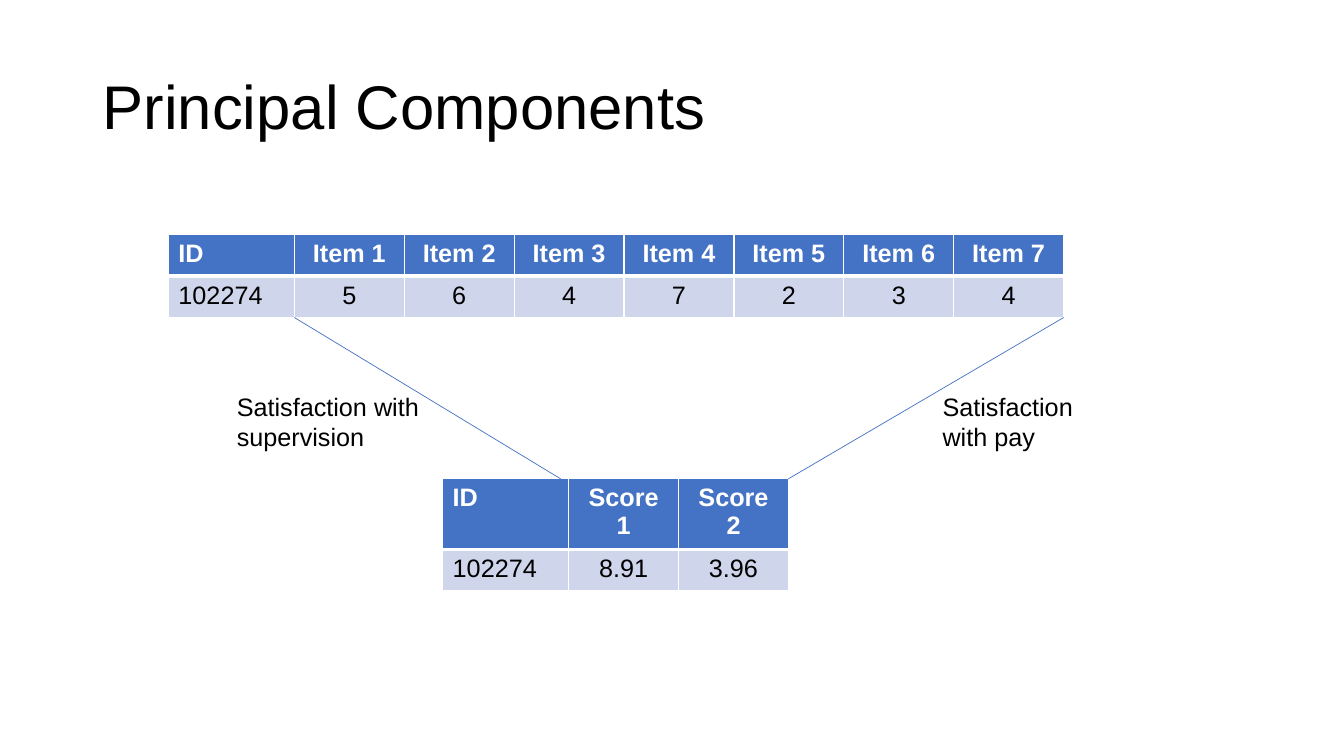
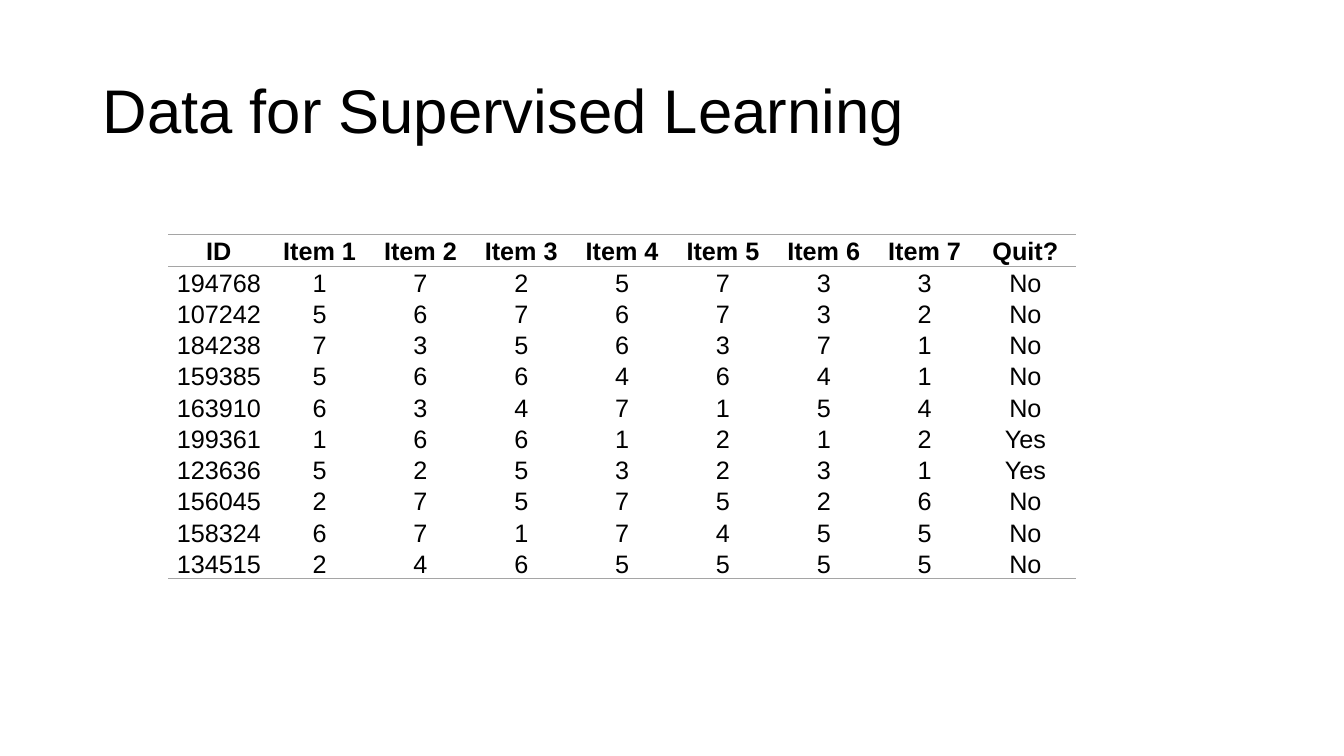
"""Build two slides on principal components and supervised learning data."""
from dataclasses import dataclass

from lxml import etree
from pptx import Presentation
from pptx import util as u
from pptx.dml.color import RGBColor
from pptx.enum import shapes, text
from pptx.oxml import ns

FONT = "Arial"
HUES = {"ink": "000000", "white": "FFFFFF", "blue": "4472C4", "pale": "CFD5EA", "gray": "A5A5A5"}
NO_STYLE = "{2D5ABB26-0587-4C30-8999-92F81FD0307C}"
ITEMS = [f"Item {n}" for n in range(1, 8)]
LEFT, TOP = 1.67, 2.33
WIDE, THIN, ROW = 1.25, 1.09, 0.41


@dataclass
class Grid:
    left: float
    top: float
    cols: list[float]
    row: float
    rows: list[list[str]]
    banded: bool

    @property
    def right(self) -> float:
        return self.left + sum(self.cols)

    @property
    def base(self) -> float:
        return self.top + self.row * len(self.rows)


@dataclass
class Label:
    words: str
    left: float
    top: float
    width: float
    height: float
    size: int = 18


@dataclass
class Line:
    start: tuple[float, float]
    end: tuple[float, float]


def color(name: str) -> RGBColor:
    return RGBColor.from_string(HUES[name])


def style(para, size: int, hue: str = "ink", bold: bool = False) -> None:
    font = para.font
    font.name, font.size, font.bold = FONT, u.Pt(size), bold
    font.color.rgb = color(hue)


def add_label(slide, label: Label):
    spots = (label.left, label.top, label.width, label.height)
    frame = slide.shapes.add_textbox(*map(u.Inches, spots)).text_frame
    frame.word_wrap = True
    frame.text = label.words
    style(frame.paragraphs[0], label.size)
    return frame


def add_title(slide, words: str, top: float) -> None:
    frame = add_label(slide, Label(words, 0.92, top, 11.5, 1.45, 44))
    frame.vertical_anchor = text.MSO_ANCHOR.MIDDLE
    frame.paragraphs[0].line_spacing = 0.9


def add_line(slide, line: Line) -> None:
    link = slide.shapes.add_connector(
        shapes.MSO_CONNECTOR.STRAIGHT, *map(u.Inches, line.start + line.end))
    link.line.color.rgb = color("blue")
    link.line.width = u.Pt(0.5)
    etree.SubElement(link._element.spPr, ns.qn("a:effectLst"))


def add_edge(cell, side: str, hue: str, width: float) -> None:
    edge = etree.SubElement(cell._tc.get_or_add_tcPr(), ns.qn(f"a:ln{side}"), w=str(u.Pt(width)))
    fill = etree.SubElement(edge, ns.qn("a:solidFill"))
    etree.SubElement(fill, ns.qn("a:srgbClr"), val=HUES[hue])


def dress_band(cell, head: bool, first: bool) -> None:
    for side in "LRTB":
        thick = side == ("B" if head else "T")
        add_edge(cell, side, "white", 3 if thick else 1)
    cell.fill.solid()
    cell.fill.fore_color.rgb = color("blue" if head else "pale")
    para = cell.text_frame.paragraphs[0]
    para.alignment = text.PP_ALIGN.LEFT if first else text.PP_ALIGN.CENTER
    style(para, 18, "white" if head else "ink", head)


def dress_plain(cell, head: bool, last: bool) -> None:
    cell.margin_left = cell.margin_right = cell.margin_top = u.Inches(0.01)
    cell.margin_bottom = 0
    cell.vertical_anchor = text.MSO_ANCHOR.BOTTOM
    if head:
        add_edge(cell, "T", "gray", 1)
    if head or last:
        add_edge(cell, "B", "gray", 1)
    cell.fill.background()
    para = cell.text_frame.paragraphs[0]
    para.alignment = text.PP_ALIGN.CENTER
    style(para, 18, bold=head)


def add_grid(slide, grid: Grid) -> None:
    spots = (grid.left, grid.top, sum(grid.cols), grid.row * len(grid.rows))
    table = slide.shapes.add_table(
        len(grid.rows), len(grid.cols), *map(u.Inches, spots)).table
    table._tbl.tblPr.find(ns.qn("a:tableStyleId")).text = NO_STYLE
    table.horz_banding = False
    for col, width in zip(table.columns, grid.cols):
        col.width = u.Inches(width)
    for r, words in enumerate(grid.rows):
        table.rows[r].height = u.Inches(grid.row)
        for c, word in enumerate(words):
            cell = table.cell(r, c)
            cell.text = word
            if grid.banded:
                dress_band(cell, r == 0, c == 0)
            else:
                dress_plain(cell, r == 0, r == len(grid.rows) - 1)


def draw_parts(slide) -> None:
    add_title(slide, "Principal Components", 0.36)
    items = Grid(LEFT, TOP, [WIDE] + [THIN] * 7, ROW,
                 [["ID", *ITEMS], ["102274", *"5647234"]], True)
    scores = Grid(4.39, 4.75, [WIDE] + [THIN] * 2, ROW,
                  [["ID", "Score 1", "Score 2"], ["102274", "8.91", "3.96"]], True)
    for grid in (items, scores):
        add_grid(slide, grid)
    for line in (Line((items.left + WIDE, items.base), (5.56, scores.top)),
                 Line((items.right, items.base), (scores.right, scores.top))):
        add_line(slide, line)
    for label in (Label("Satisfaction with supervision", 2.25, 3.83, 2.08, 0.71),
                  Label("Satisfaction with pay", 9.25, 3.83, 1.92, 0.71)):
        add_label(slide, label)


def draw_data(slide) -> None:
    add_title(slide, "Data for Supervised Learning", 0.4)
    people = [
        ("194768", "1725733", "No"),
        ("107242", "5676732", "No"),
        ("184238", "7356371", "No"),
        ("159385", "5664641", "No"),
        ("163910", "6347154", "No"),
        ("199361", "1661212", "Yes"),
        ("123636", "5253231", "Yes"),
        ("156045", "2757526", "No"),
        ("158324", "6717455", "No"),
        ("134515", "2465555", "No"),
    ]
    rows = [["ID", *ITEMS, "Quit?"]] + [[key, *marks, quits] for key, marks, quits in people]
    add_grid(slide, Grid(LEFT, TOP, [1.0] * 9, 0.29, rows, False))


def main() -> None:
    deck = Presentation()
    deck.slide_width, deck.slide_height = u.Inches(13.33), u.Inches(7.5)
    for draw in (draw_parts, draw_data):
        draw(deck.slides.add_slide(deck.slide_layouts[6]))
    deck.save("out.pptx")


if __name__ == "__main__":
    main()
